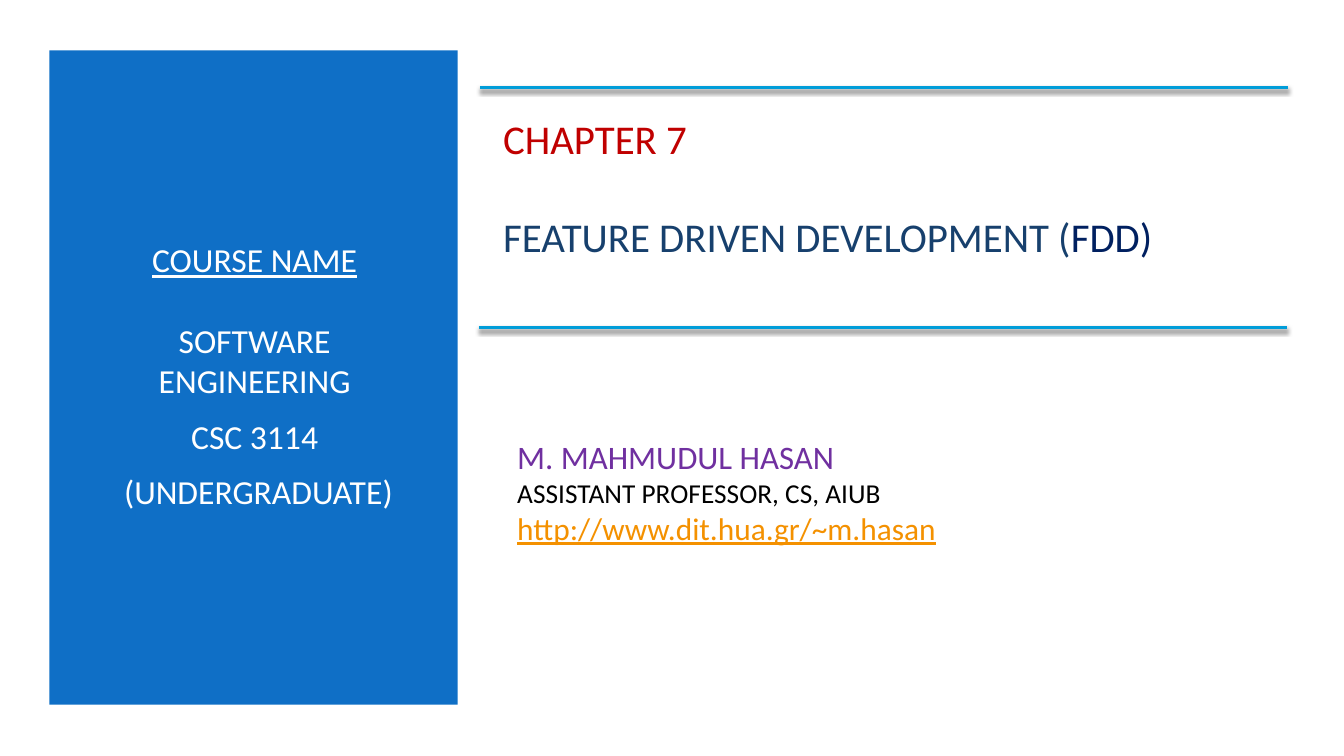
import pptx
import pptx.util
import pptx.dml.color
import pptx.enum.shapes
import pptx.enum.text
import pptx.oxml
import pptx.oxml.ns

Inches, Pt = pptx.util.Inches, pptx.util.Pt
RGB = pptx.dml.color.RGBColor.from_string
ALIGN = pptx.enum.text.PP_ALIGN

# Content: each box is a list of paragraphs, each paragraph a list of
# (text, style) runs; None stands for a line break
HEAD = [[("CHAPTER 7", "red"), None, None,
         ("FEATURE DRIVEN DEVELOPMENT (", "navy"), ("FDD)", "deep")]]
COURSE = [
    [("COURSE NAME", "under"), None, None, ("SOFTWARE ENGINEERING", "plain")],
    [("CSC 3114", "plain")],
    [(" (UNDERGRADUATE)", "plain")],
]
AUTHOR = [
    [("M. MAHMUDUL HASAN", "name")],
    [("ASSISTANT PROFESSOR, CS, AIUB", "post")],
    [("http://www.dit.hua.gr/~m.hasan", "site")],
]

# Theme: style -> size, colour, underline
THEME = {
    "font": "Calibri", "panel": "0F6FC6", "rule": "009DD9",
    "red": (29.2, "C00000", False),
    "navy": (29.2, "17406D", False),
    "deep": (29.2, "002060", False),
    "under": (24, "FFFFFF", True),
    "plain": (24, "FFFFFF", False),
    "name": (23.4, "7030A0", False),
    "post": (19.5, "000000", False),
    "site": (22.4, "F49100", True),
}

# Places: left, top, width, height
PANEL = (0.49, 0.5, 4.05, 6.49)
PLACES = {"course": (0.84, 1.1, 3.37, 5.25), "head": (4.89, 1.1, 7.85, 1.51),
          "author": (5.03, 4.1, 6.66, 1.56)}
RULES = [(4.76, 0.87), (4.75, 3.25)]
SPAN = 8.01

SHADE = (
    '<a:effectLst %s><a:outerShdw blurRad="38100" dist="25400" dir="5400000" '
    'rotWithShape="0"><a:srgbClr val="000000"><a:alpha val="55000"/></a:srgbClr>'
    '</a:outerShdw></a:effectLst>' % pptx.oxml.ns.nsdecls("a"))


def fill_box(box, place, paras, align, before=0, after=0):
    box.left, box.top, box.width, box.height = map(Inches, place)
    frame = box.text_frame
    frame.word_wrap = True
    frame.auto_size = pptx.enum.text.MSO_AUTO_SIZE.NONE
    frame.vertical_anchor = pptx.enum.text.MSO_ANCHOR.MIDDLE
    for i, parts in enumerate(paras):
        para = frame.add_paragraph() if i else frame.paragraphs[0]
        props = para._p.get_or_add_pPr()
        props.set("marL", "0")
        props.set("indent", "0")
        props.append(pptx.oxml.parse_xml(
            "<a:buNone %s/>" % pptx.oxml.ns.nsdecls("a")))
        para.alignment = align
        para.space_before = Pt(before if i else 0)
        para.space_after = Pt(after)
        for part in parts:
            if part is None:
                # A break takes the size of the text around it
                para.add_line_break()
                para._p[-1].append(pptx.oxml.parse_xml(
                    '<a:rPr %s sz="%d"/>' % (pptx.oxml.ns.nsdecls("a"),
                                             round(size * 100))))
                continue
            text, style = part
            size, tint, line = THEME[style]
            run = para.add_run()
            run.text = text
            run.font.name = THEME["font"]
            run.font.size = Pt(size)
            run.font.color.rgb = RGB(tint)
            run.font.underline = line


deck = pptx.Presentation()
deck.slide_width, deck.slide_height = Inches(13.33), Inches(7.5)
slide = deck.slides.add_slide(deck.slide_layouts[3])
shapes = slide.shapes

# Blue panel, set behind the text
panel = shapes.add_shape(pptx.enum.shapes.MSO_SHAPE.RECTANGLE,
                         *map(Inches, PANEL))
panel.shadow.inherit = False
panel.fill.solid()
panel.fill.fore_color.rgb = RGB(THEME["panel"])
panel.line.fill.background()
shapes._spTree.insert(2, panel._element)

# Title, course and author
fill_box(shapes.title, PLACES["head"], HEAD, ALIGN.LEFT)
fill_box(slide.placeholders[1], PLACES["course"], COURSE, ALIGN.CENTER, 4.8, 6)
fill_box(slide.placeholders[2], PLACES["author"], AUTHOR, ALIGN.LEFT)

# Rules above and below the title
for left, top in RULES:
    rule = shapes.add_connector(
        pptx.enum.shapes.MSO_CONNECTOR.STRAIGHT,
        Inches(left), Inches(top), Inches(left + SPAN), Inches(top))
    rule.line.color.rgb = RGB(THEME["rule"])
    rule.line.width = Pt(2)
    rule._element.spPr.append(pptx.oxml.parse_xml(SHADE))

deck.save("out.pptx")
